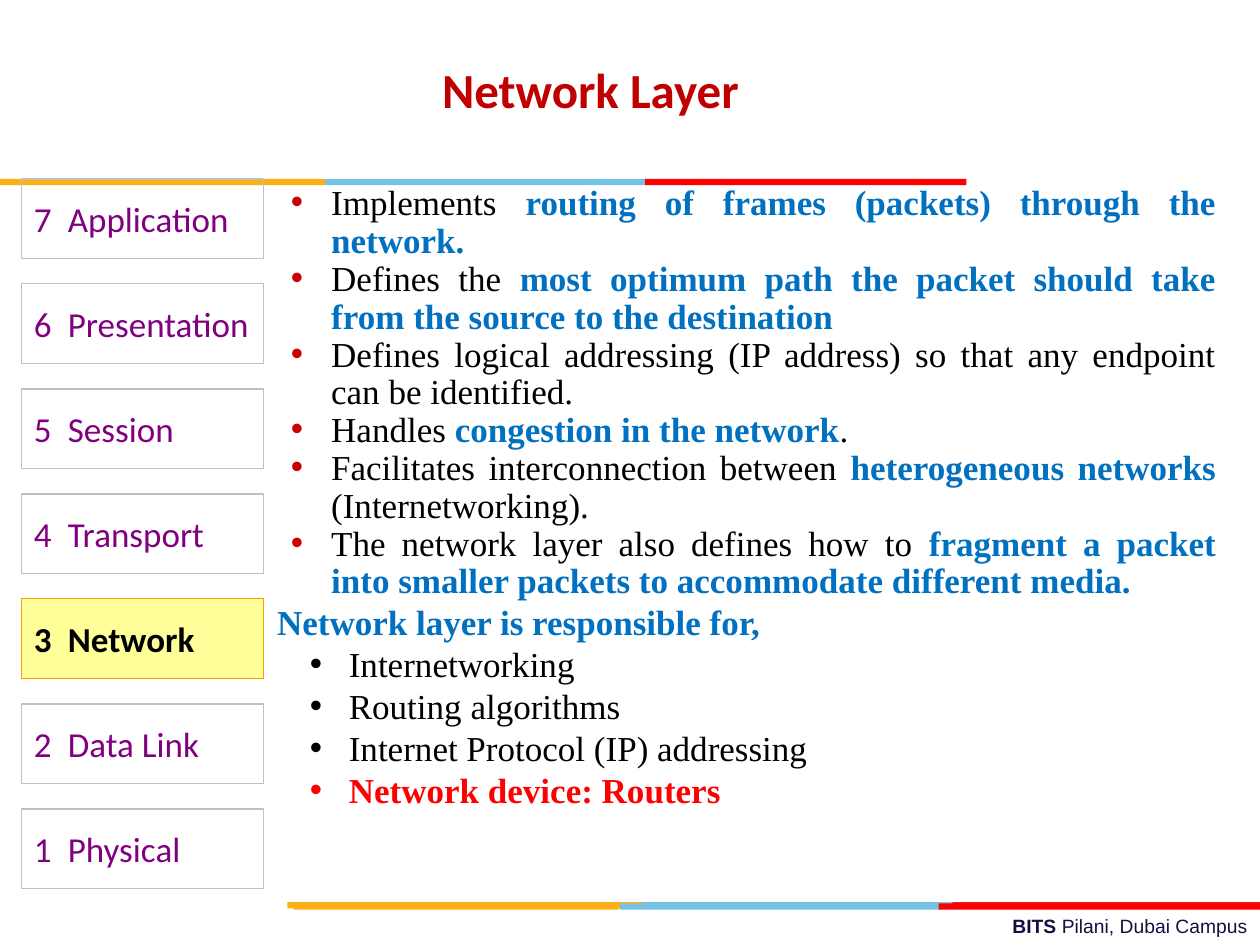
from dataclasses import dataclass

from lxml import etree
from pptx import Presentation
from pptx import util as u
from pptx.dml import color
from pptx.enum import shapes, text
from pptx.oxml import ns


@dataclass(frozen=True)
class Theme:
    heading_font: str = "Calibri"
    body_font: str = "Times New Roman"
    footer_font: str = "Arial"
    title_size: int = 28
    body_size: int = 20
    footer_size: int = 11
    title: str = "C00000"
    ink: str = "000000"
    key: str = "0070C0"
    alert: str = "FF0000"
    bullet: str = "CC0000"
    footer: str = "101141"
    layer_text: str = "800080"
    layer_line: str = "C0C0C0"
    active_fill: str = "FFFF99"
    active_line: str = "FF9900"
    orange: str = "FCB017"
    blue: str = "76C2E5"
    dark_red: str = "E31C24"
    red: str = "FF0000"


def rgb(value):
    return color.RGBColor.from_string(value)


def add_property(paragraph, tag, **attributes):
    return etree.SubElement(paragraph._p.get_or_add_pPr(), ns.qn(tag), attributes)


class SlideBuilder:
    def __init__(self, slide, theme):
        self.slide = slide
        self.theme = theme

    def frame(self, shape, margin_y=0.05, **extra):
        values = dict(
            margin_left=u.Inches(0.1), margin_right=u.Inches(0.1),
            margin_top=u.Inches(margin_y), margin_bottom=u.Inches(margin_y),
            word_wrap=True, auto_size=text.MSO_AUTO_SIZE.NONE,
            vertical_anchor=text.MSO_ANCHOR.TOP)
        for name, value in {**values, **extra}.items():
            setattr(shape.text_frame, name, value)
        return shape.text_frame

    def run(self, paragraph, words, font, size, ink, bold=False):
        run = paragraph.add_run()
        run.text = words
        for name, value in dict(name=font, size=u.Pt(size), bold=bold).items():
            setattr(run.font, name, value)
        run.font.color.rgb = rgb(ink)

    def title(self, words, *box):
        heading = self.slide.shapes.title
        heading.left, heading.top, heading.width, heading.height = map(u.Inches, box)
        paragraph = self.frame(heading, word_wrap=False).paragraphs[0]
        paragraph.alignment = text.PP_ALIGN.LEFT
        theme = self.theme
        self.run(paragraph, words, theme.heading_font, theme.title_size, theme.title, True)

    def rectangle(self, box, fill=None, line=None):
        shape = self.slide.shapes.add_shape(
            shapes.MSO_SHAPE.RECTANGLE, *map(u.Inches, box))
        shape.shadow.inherit = False
        if fill:
            shape.fill.solid()
            shape.fill.fore_color.rgb = rgb(fill)
        else:
            shape.fill.background()
        if line:
            shape.line.color.rgb = rgb(line)
            shape.line.width = u.Pt(0.75)
        else:
            shape.line.fill.background()
        return shape

    def stripe(self, top, segments):
        for left, width, fill in segments:
            self.rectangle((left, top, width, 0.05), fill)

    def layer(self, number, name, top, active):
        theme = self.theme
        box = (0.17, top, 1.92, 0.63)
        if active:
            shape = self.rectangle(box, theme.active_fill, theme.active_line)
        else:
            shape = self.rectangle(box, line=theme.layer_line)
        paragraph = self.frame(shape, margin_y=0.15).paragraphs[0]
        paragraph.alignment = text.PP_ALIGN.LEFT
        stops = add_property(paragraph, "a:tabLst")
        etree.SubElement(stops, ns.qn("a:tab"), pos=str(u.Inches(0.27)), algn="l")
        self.run(paragraph, f"{number}\t{name}", theme.heading_font, theme.body_size,
                 theme.ink if active else theme.layer_text, active)

    def text_box(self, *box):
        return self.frame(self.slide.shapes.add_textbox(*map(u.Inches, box)))

    def bullet(self, paragraph, ink, margin, hanging):
        properties = paragraph._p.get_or_add_pPr()
        properties.set("marL", str(u.Inches(margin)))
        properties.set("indent", str(-u.Inches(hanging)))
        tint = add_property(paragraph, "a:buClr")
        etree.SubElement(tint, ns.qn("a:srgbClr"), val=ink)
        add_property(paragraph, "a:buFont", typeface="Arial")
        add_property(paragraph, "a:buChar", char="•")

    def body(self, points, lead, duties, *box):
        """Points are (words, is_key) runs; duties are (words, is_alert) lines."""
        theme = self.theme
        style = (theme.body_font, theme.body_size)
        frame = self.text_box(*box)
        paragraph = frame.paragraphs[0]
        for runs in points:
            self.bullet(paragraph, theme.bullet, 0.43, 0.32)
            paragraph.alignment = text.PP_ALIGN.JUSTIFY
            paragraph.line_spacing = u.Pt(21.6)
            for words, is_key in runs:
                self.run(paragraph, words, *style, theme.key if is_key else theme.ink, is_key)
            paragraph = frame.add_paragraph()
        paragraph.line_spacing = u.Pt(24)
        self.run(paragraph, lead, *style, theme.key, True)
        for words, is_alert in duties:
            paragraph = frame.add_paragraph()
            ink = theme.alert if is_alert else theme.ink
            self.bullet(paragraph, ink, 0.57, 0.31)
            paragraph.level = 1
            paragraph.line_spacing = u.Pt(24)
            self.run(paragraph, words, *style, ink, is_alert)

    def footer(self, school, campus, *box):
        theme = self.theme
        paragraph = self.text_box(*box).paragraphs[0]
        paragraph.alignment = text.PP_ALIGN.RIGHT
        for words, bold in ((school, True), (campus, False)):
            self.run(paragraph, words, theme.footer_font, theme.footer_size,
                     theme.footer, bold)


LAYERS = ["Application", "Presentation", "Session", "Transport",
          "Network", "Data Link", "Physical"]
POINTS = [
    [("Implements ", False), ("routing of frames (packets) through the network.", True)],
    [("Defines the ", False),
     ("most optimum path the packet should take from the source to the destination", True)],
    [("Defines logical addressing (IP address) so that any endpoint can be identified.", False)],
    [("Handles ", False), ("congestion in the network", True), (".", False)],
    [("Facilitates interconnection between ", False),
     ("heterogeneous networks ", True), ("(Internetworking).", False)],
    [("The network layer also defines how to ", False),
     ("fragment a packet into smaller packets to accommodate different media.", True)],
]
DUTIES = [("Internetworking", False), ("Routing algorithms", False),
          ("Internet Protocol (IP) addressing", False), ("Network device: Routers", True)]


def main():
    deck = Presentation()
    deck.slide_width, deck.slide_height = u.Inches(10), u.Inches(7.5)
    theme = Theme()
    page = SlideBuilder(deck.slides.add_slide(deck.slide_layouts[5]), theme)

    page.footer("BITS ", "Pilani, Dubai Campus", 3.58, 7.21, 6.42, 0.29)
    page.stripe(7.16, [(5.06, 2.55, theme.blue), (7.56, 2.44, theme.dark_red),
                       (2.28, 2.82, theme.orange)])
    page.stripe(7.17, [(4.92, 2.55, theme.blue), (2.33, 2.58, theme.orange),
                       (7.45, 2.55, theme.red)])
    page.stripe(1.42, [(2.58, 2.55, theme.blue), (0, 2.58, theme.orange),
                       (5.12, 2.55, theme.red)])
    for row, name in enumerate(LAYERS):
        page.layer(len(LAYERS) - row, name, 1.42 + row * 5 / 6, name == "Network")
    page.body(POINTS, "Network layer is responsible for,", DUTIES, 2.1, 1.42, 7.65, 5.37)
    page.title("Network Layer", 3.41, 0.42, 3.14, 0.57)
    deck.save("out.pptx")


if __name__ == "__main__":
    main()
